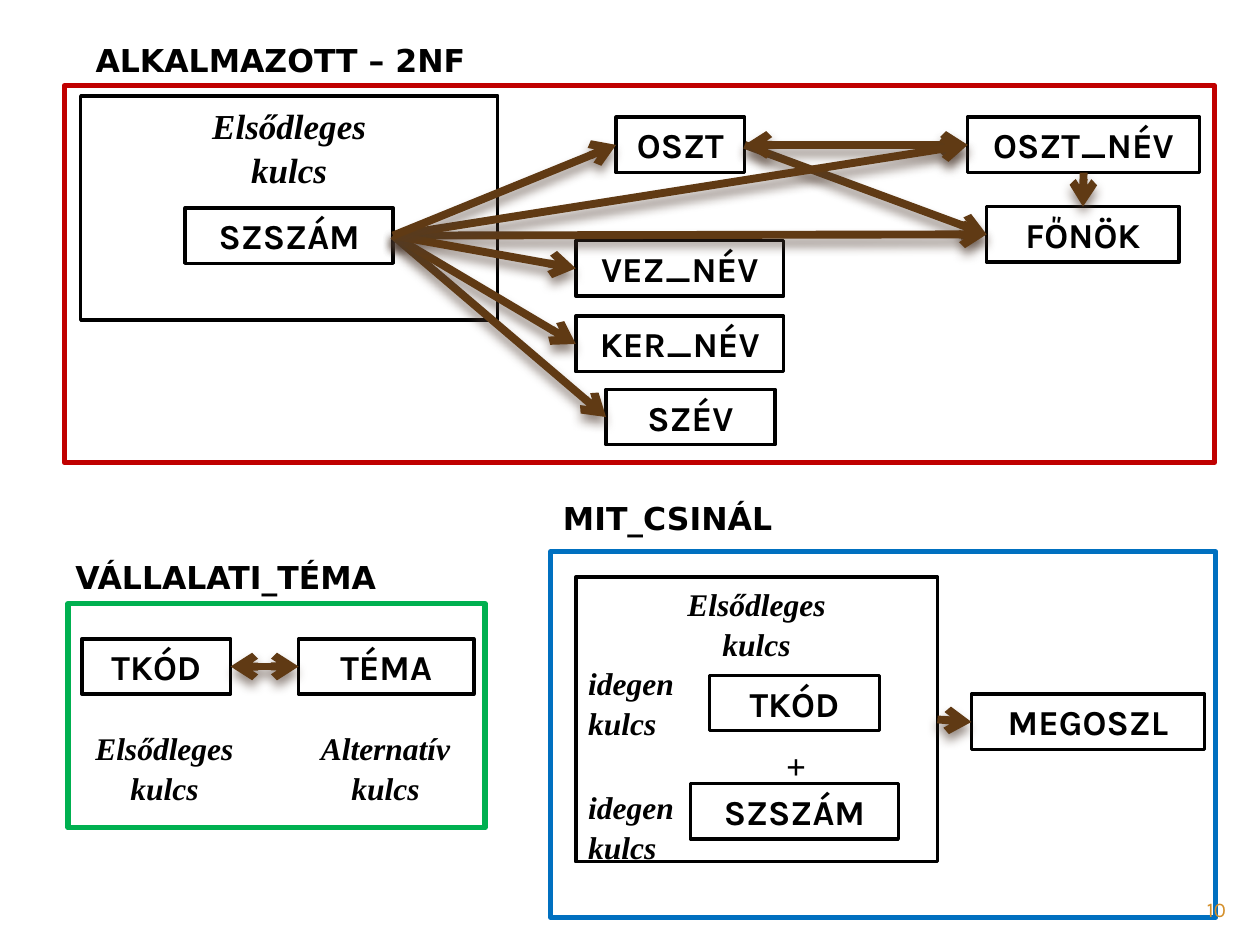
from lxml import etree
from pptx import Presentation
from pptx import util as u
from pptx.dml.color import RGBColor
from pptx.enum import shapes, text
from pptx.oxml import ns

Inches = u.Inches
COLORS = {
    "black": "000000", "red": "C00000", "green": "00B050", "blue": "0070C0",
    "arrow": "603A14", "shadow": "4E3B30", "number": "D48F29",
}
ENTITY = {"name": "Karla", "size": u.Pt(20), "bold": True}
KEY = {"name": "Times New Roman", "size": u.Pt(18), "bold": True, "italic": True}
BIG_KEY = {**KEY, "size": u.Pt(20)}
PLUS = {**KEY, "size": u.Pt(20), "italic": False}
TITLE = {"name": "DejaVu Sans", "size": u.Pt(18), "bold": True}
NUMBER = {"name": "Karla", "size": u.Pt(12)}

CENTER, LEFT, RIGHT = text.PP_ALIGN.CENTER, text.PP_ALIGN.LEFT, text.PP_ALIGN.RIGHT
TOP, MIDDLE = text.MSO_ANCHOR.TOP, text.MSO_ANCHOR.MIDDLE
ROW = 0.44  # height of an entity box
SIDES = {"top": 0, "left": 1, "bottom": 2, "right": 3}


def color(name):
    return RGBColor.from_string(COLORS[name])


def write_lines(paragraph, lines, align=LEFT, spacing=None, ink="black"):
    """Write (text, format) pairs as lines of one paragraph."""
    paragraph.alignment = align
    paragraph.line_spacing = spacing
    for index, (content, style) in enumerate(lines):
        if index:
            paragraph.add_line_break()
        run = paragraph.add_run()
        run.text = content
        for attribute, value in style.items():
            setattr(run.font, attribute, value)
        run.font.color.rgb = color(ink)


def key_lines(content, style=KEY):
    return [(word, style) for word in content.split()]


def add_box(slide, left, top, width, height, line="black", weight=2):
    shape = slide.shapes.add_shape(
        shapes.MSO_SHAPE.RECTANGLE,
        Inches(left), Inches(top), Inches(width), Inches(height))
    shape.shadow.inherit = False
    shape.fill.background()
    shape.line.color.rgb = color(line)
    shape.line.width = u.Pt(weight)
    shape.text_frame.vertical_anchor = TOP
    return shape


def add_entity(slide, name, left, top, width):
    shape = add_box(slide, left, top, width, ROW)
    shape.text_frame.vertical_anchor = MIDDLE
    shape.text_frame.word_wrap = False
    write_lines(shape.text_frame.paragraphs[0], [(name, ENTITY)], CENTER)
    return shape


def add_label(slide, lines, left, top, width, height, align=LEFT,
              spacing=None, anchor=TOP, ink="black"):
    label = slide.shapes.add_textbox(
        Inches(left), Inches(top), Inches(width), Inches(height))
    label.text_frame.word_wrap = anchor == MIDDLE
    label.text_frame.vertical_anchor = anchor
    write_lines(label.text_frame.paragraphs[0], lines, align, spacing, ink)


def add_arrow(slide, start, end, from_side="right", to_side="left", both=False):
    """Join two boxes with a shadowed arrow."""
    connector = slide.shapes.add_connector(shapes.MSO_CONNECTOR.STRAIGHT, 0, 0, 0, 0)
    connector.begin_connect(start, SIDES[from_side])
    connector.end_connect(end, SIDES[to_side])
    connector.line.color.rgb = color("arrow")
    connector.line.width = u.Pt(4.5)
    line = connector.line._get_or_add_ln()
    for tag in ["a:headEnd", "a:tailEnd"] if both else ["a:tailEnd"]:
        etree.SubElement(line, ns.qn(tag), type="arrow")
    effects = etree.SubElement(connector._element.spPr, ns.qn("a:effectLst"))
    shadow = etree.SubElement(
        effects, ns.qn("a:outerShdw"), blurRad=str(u.Pt(6)), dist=str(u.Pt(4)),
        dir="5400000", rotWithShape="0")
    tint = etree.SubElement(shadow, ns.qn("a:srgbClr"), val=COLORS["shadow"])
    etree.SubElement(tint, ns.qn("a:alpha"), val="60000")


def add_employee(slide, x, y, width, height):
    add_label(slide, [("ALKALMAZOTT – 2NF", TITLE)], x + 0.15, y - 0.4, 3.19, 0.4)
    add_box(slide, x, y, width, height, "red", 3)

    # Attributes
    places = {
        "OSZT": (4.38, 0.25, 1.02),
        "SZÉV": (4.3, 2.41, 1.34),
        "KER_NÉV": (4.06, 1.83, 1.65),
        "VEZ_NÉV": (4.06, 1.23, 1.65),
        "FŐNÖK": (7.32, 0.96, 1.53),
        "OSZT_NÉV": (7.17, 0.25, 1.84),
    }
    entity = {name: add_entity(slide, name, x + left, y + top, size)
              for name, (left, top, size) in places.items()}

    # Primary key
    key = add_box(slide, x + 0.13, y + 0.08, 3.31, 1.78)
    write_lines(key.text_frame.paragraphs[0],
                key_lines("Elsődleges kulcs", BIG_KEY), CENTER, 1.05)
    number = add_entity(slide, "SZSZÁM", x + 0.96, y + 0.97, 1.65)

    # Dependencies
    add_arrow(slide, entity["OSZT_NÉV"], entity["FŐNÖK"], "bottom", "top")
    add_arrow(slide, entity["OSZT"], entity["FŐNÖK"])
    add_arrow(slide, entity["OSZT"], entity["OSZT_NÉV"], both=True)
    for name in ["FŐNÖK", "OSZT_NÉV", "SZÉV", "KER_NÉV", "VEZ_NÉV", "OSZT"]:
        add_arrow(slide, number, entity[name])


def add_topic(slide, x, y, width, height):
    add_label(slide, [("VÁLLALATI_TÉMA", TITLE)], x - 0.04, y - 0.41, 2.73, 0.4)
    add_box(slide, x, y, width, height, "green", 3)
    code = add_entity(slide, "TKÓD", x + 0.11, y + 0.28, 1.18)
    topic = add_entity(slide, "TÉMA", x + 1.83, y + 0.28, 1.39)
    add_arrow(slide, code, topic, both=True)
    for content, left, size in [("Elsődleges kulcs", 0.11, 1.31),
                                ("Alternatív kulcs", 1.9, 1.24)]:
        add_label(slide, key_lines(content), x + left, y + 0.93, size, 0.71,
                  CENTER, 1.05)


def add_assignment(slide, x, y, width, height):
    add_label(slide, [("MIT_CSINÁL", TITLE)], x, y - 0.47, 2, 0.4)
    add_box(slide, x, y, width, height, "blue", 3)

    # Composite key, with the plus sign set on a tab stop
    key = add_box(slide, x + 0.2, y + 0.2, 2.87, 2.26)
    write_lines(key.text_frame.paragraphs[0],
                key_lines("Elsődleges kulcs"), CENTER, 1.05)
    paragraph = key.text_frame.add_paragraph()
    tabs = etree.SubElement(paragraph._p.get_or_add_pPr(), ns.qn("a:tabLst"))
    etree.SubElement(tabs, ns.qn("a:tab"), pos=str(Inches(1.57)), algn="l")
    foreign = key_lines("idegen kulcs")
    write_lines(paragraph, [*foreign, ("\t+", PLUS), *foreign], LEFT, 1.05)
    add_entity(slide, "TKÓD", x + 1.26, y + 0.98, 1.35)
    add_entity(slide, "SZSZÁM", x + 1.11, y + 1.84, 1.65)

    share = add_entity(slide, "MEGOSZL", x + 3.34, y + 1.13, 1.85)
    add_arrow(slide, key, share)


def main():
    presentation = Presentation()
    presentation.slide_width, presentation.slide_height = Inches(10), Inches(7.5)
    slide = presentation.slides.add_slide(presentation.slide_layouts[6])
    add_employee(slide, 0.51, 0.68, 9.13, 2.99)
    add_topic(slide, 0.54, 4.79, 3.31, 1.78)
    add_assignment(slide, 4.37, 4.38, 5.28, 2.9)
    # Slide number
    add_label(slide, [("10", NUMBER)], 9, 7.08, 0.83, 0.27, RIGHT,
              anchor=MIDDLE, ink="number")
    presentation.save("out.pptx")


if __name__ == "__main__":
    main()
